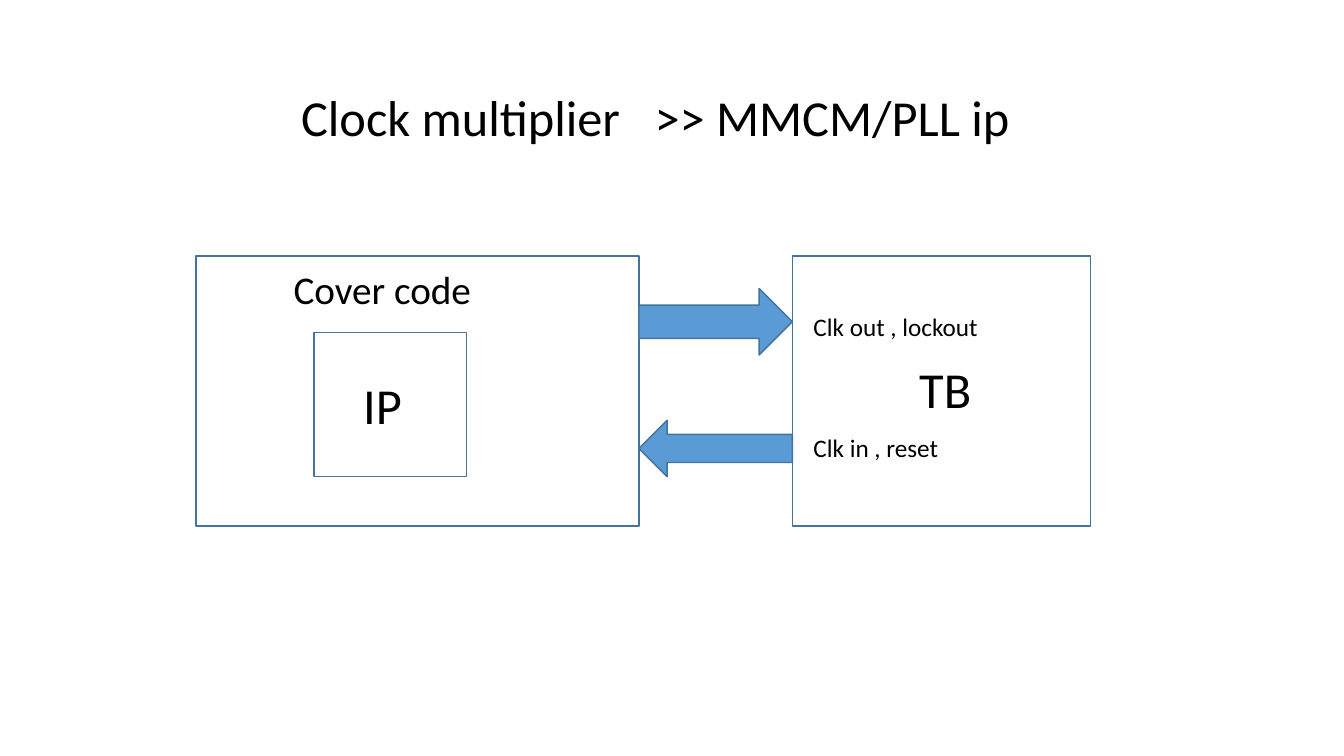
from dataclasses import dataclass

import pptx
import pptx.dml.color
import pptx.enum.shapes
import pptx.enum.text
import pptx.util

Pt = pptx.util.Pt
RGB = pptx.dml.color.RGBColor
SHAPE = pptx.enum.shapes.MSO_SHAPE
ALIGN = pptx.enum.text.PP_ALIGN


@dataclass(frozen=True)
class Theme:
    font: str = "Calibri"
    text: RGB = RGB(0x00, 0x00, 0x00)
    line: RGB = RGB(0x43, 0x73, 0x9E)
    arrow: RGB = RGB(0x5B, 0x9B, 0xD5)
    line_width: float = 1
    large: int = 36
    medium: int = 28
    small: int = 18


THEME = Theme()


@dataclass(frozen=True)
class Box:
    x: float
    y: float
    w: float
    h: float

    def inner(self, dx, dy, w, h):
        return Box(self.x + dx, self.y + dy, w, h)

    def lengths(self):
        return [Pt(v) for v in (self.x, self.y, self.w, self.h)]


def add_label(slide, x, y, w, size, *texts, align=ALIGN.LEFT):
    """Add one line of text, one run per string, and return its runs."""
    line_height = 1.22 * size + 7.2
    tb = slide.shapes.add_textbox(*Box(x, y, w, line_height).lengths())
    tf = tb.text_frame
    tf.word_wrap = True
    p = tf.paragraphs[0]
    p.alignment = align
    for text in texts:
        r = p.add_run()
        r.text = text
        r.font.name = THEME.font
        r.font.size = Pt(size)
        r.font.color.rgb = THEME.text
    return p.runs


def add_outlined(slide, kind, box, fill=None):
    sp = slide.shapes.add_shape(kind, *box.lengths())
    sp.shadow.inherit = False
    if fill is None:
        sp.fill.background()
    else:
        sp.fill.solid()
        sp.fill.fore_color.rgb = fill
    sp.line.color.rgb = THEME.line
    sp.line.width = Pt(THEME.line_width)


def add_title(slide, box):
    runs = add_label(slide, box.x, box.y, box.w, THEME.large,
                     "Clock multiplier", " ", ">> MMCM/PLL ip", align=ALIGN.CENTER)
    # Widen the single space before the chevrons, in hundredths of a point.
    runs[1].font._element.set("spc", "1630")


def add_cover_code(slide, box):
    add_outlined(slide, SHAPE.RECTANGLE, box)
    add_label(slide, box.x + 62.6, box.y + 3, 260, THEME.medium, "Cover code")
    ip = box.inner(84.3, 54.7, 108.8, 103)
    add_outlined(slide, SHAPE.RECTANGLE, ip)
    add_label(slide, ip.x + 28, ip.y + 26, 116.6, THEME.large, "IP")


def add_test_bench(slide, box):
    add_outlined(slide, SHAPE.RECTANGLE, box)
    add_label(slide, box.x + 83.5, box.y + 69.7, 116.6, THEME.large, "TB")
    for dy, signals in ((36, "Clk out , lockout"), (122.4, "Clk in , reset")):
        add_label(slide, box.x + 8, box.y + dy, 141, THEME.small, signals)


def add_signal_arrows(slide, box):
    for kind, dy, h in ((SHAPE.RIGHT_ARROW, 23.3, 47.5), (SHAPE.LEFT_ARROW, 117.4, 40.3)):
        add_outlined(slide, kind, box.inner(0, dy, box.w, h), THEME.arrow)


def main():
    prs = pptx.Presentation()
    prs.slide_width, prs.slide_height = Pt(960), Pt(540)
    slide = prs.slides.add_slide(prs.slide_layouts[6])

    cover = Box(140, 182.8, 316.4, 193)
    bench = Box(566, cover.y, 213, cover.h)
    gap_x = cover.x + cover.w
    add_title(slide, Box(135.5, 58.3, 665.3, 51))
    add_cover_code(slide, cover)
    add_test_bench(slide, bench)
    add_signal_arrows(slide, Box(gap_x, cover.y, bench.x - gap_x, cover.h))

    prs.save("out.pptx")


if __name__ == "__main__":
    main()
